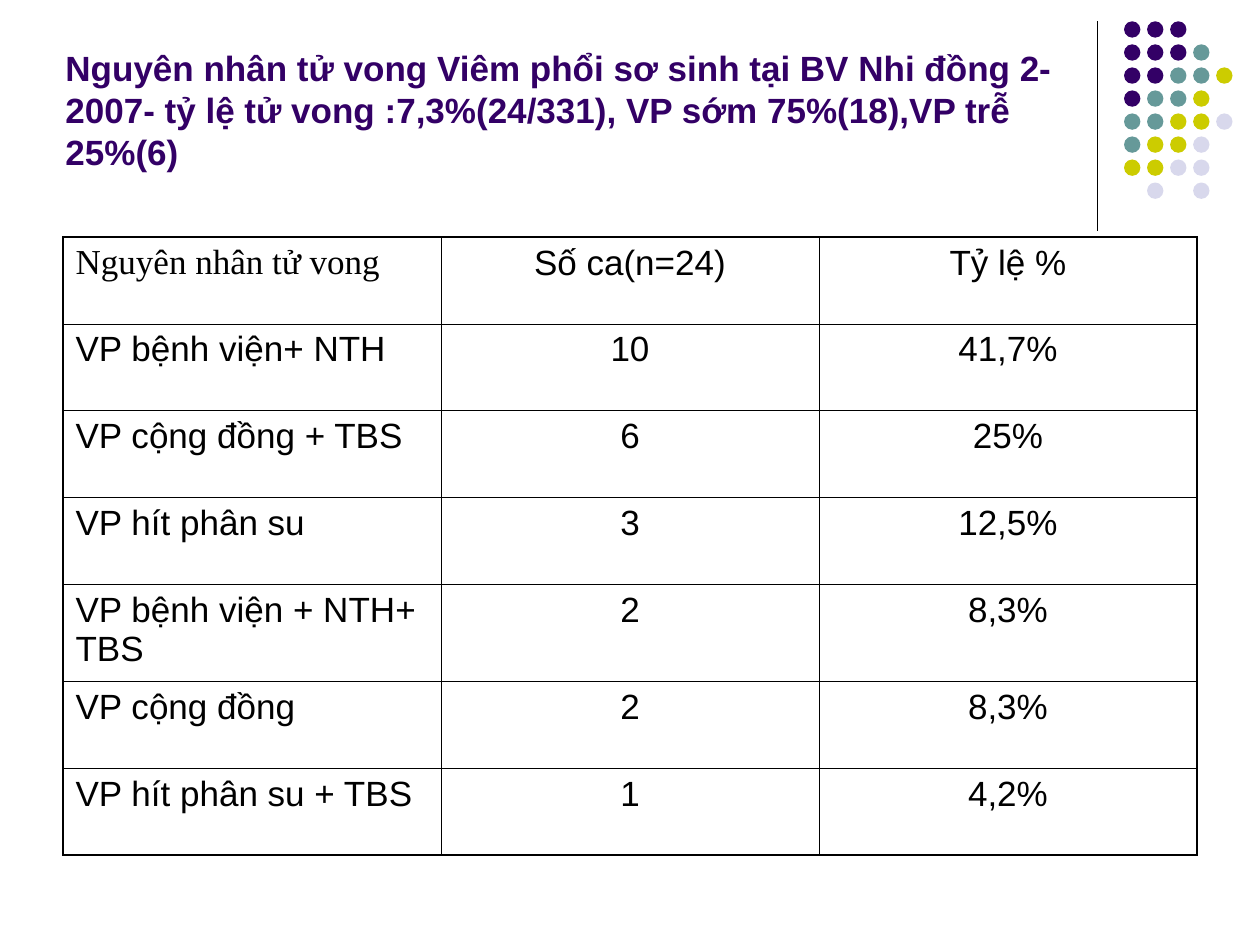
import pptx
import pptx.dml.color
import pptx.enum.shapes
import pptx.enum.text
import pptx.oxml.ns
import pptx.util
from lxml import etree

Cm = pptx.util.Cm
Pt = pptx.util.Pt
ALIGN = pptx.enum.text.PP_ALIGN
SHAPES = pptx.enum.shapes
COLORS = {
    "black": "000000",
    "purple": "330066",
    "teal": "669999",
    "olive": "CCCC00",
    "lavender": "D8D8EC",
}


def write(frame, text, font="Arial", size=20, color="black", bold=False, align=ALIGN.LEFT):
    frame.word_wrap = True
    frame.margin_left = frame.margin_right = Cm(0.25)
    frame.margin_top = frame.margin_bottom = Cm(0.13)
    para = frame.paragraphs[0]
    para.alignment = align
    span = para.add_run()
    span.text = text
    span.font.name = font
    span.font.size = Pt(size)
    span.font.bold = bold
    span.font.color.rgb = pptx.dml.color.RGBColor.from_string(COLORS[color])


def add_border(cell, side, width):
    props = cell._tc.get_or_add_tcPr()
    line = etree.SubElement(props, pptx.oxml.ns.qn(f"a:ln{side}"), w=str(Pt(width)))
    fill = etree.SubElement(line, pptx.oxml.ns.qn("a:solidFill"))
    etree.SubElement(fill, pptx.oxml.ns.qn("a:srgbClr"), val=COLORS["black"])


deck = pptx.Presentation()
deck.slide_width = Cm(25.4)
deck.slide_height = Cm(19.05)
page = deck.slides.add_slide(deck.slide_layouts[6])

# Vertical rule beside the title
rule = page.shapes.add_connector(
    SHAPES.MSO_CONNECTOR.STRAIGHT, Cm(22.12), Cm(0.43), Cm(22.12), Cm(4.65))
rule.line.width = Pt(0.75)
rule.line.color.rgb = pptx.dml.color.RGBColor.from_string(COLORS["black"])
etree.SubElement(rule._element.spPr, pptx.oxml.ns.qn("a:effectLst"))

# Dot pattern: one letter per dot, a space where there is none
dot_colors = {"P": "purple", "T": "teal", "O": "olive", "L": "lavender"}
dot_rows = ["PPP", "PPPT", "PPTTO", "PTTO", "TTOOL", "TOOL", "OOLL", " L L"]
dot_step = 3.25 / 7
dots = page.shapes.add_group_shape()
for row, letters in enumerate(dot_rows):
    for column, letter in enumerate(letters):
        if letter == " ":
            continue
        dot = dots.shapes.add_shape(
            SHAPES.MSO_SHAPE.OVAL, Cm(22.66 + column * dot_step),
            Cm(0.43 + row * dot_step), Cm(0.33), Cm(0.33))
        dot.shadow.inherit = False
        dot.fill.solid()
        dot.fill.fore_color.rgb = pptx.dml.color.RGBColor.from_string(
            COLORS[dot_colors[letter]])
        dot.line.fill.background()

# Title
title = page.shapes.add_textbox(Cm(1.07), Cm(0), Cm(21.39), Cm(3.61))
title.text_frame.vertical_anchor = pptx.enum.text.MSO_ANCHOR.BOTTOM
write(title.text_frame,
      "Nguyên nhân tử vong Viêm phổi sơ sinh tại BV Nhi đồng 2-2007- "
      "tỷ lệ tử vong :7,3%(24/331), VP sớm 75%(18),VP trễ 25%(6)",
      color="purple", bold=True)

# Table of causes of death
causes = [
    ("Nguyên nhân tử vong", "Số ca(n=24)", "Tỷ lệ %"),
    ("VP bệnh viện+ NTH", "10", "41,7%"),
    ("VP cộng đồng + TBS", "6", "25%"),
    ("VP hít phân su", "3", "12,5%"),
    ("VP bệnh viện + NTH+ TBS", "2", "8,3%"),
    ("VP cộng đồng", "2", "8,3%"),
    ("VP hít phân su + TBS", "1", "4,2%"),
]
row_heights = [1.75, 1.75, 1.75, 1.75, 1.96, 1.75, 1.75]
last_row, last_column = len(causes) - 1, 2
inner, outer = 0.45, 1.08
table = page.shapes.add_table(
    len(causes), 3, Cm(1.27), Cm(4.78), Cm(22.86), Cm(sum(row_heights))).table
table.first_row = table.horz_banding = False
for column in table.columns:
    column.width = Cm(7.62)
for row, values in enumerate(causes):
    table.rows[row].height = Cm(row_heights[row])
    for column, value in enumerate(values):
        cell = table.cell(row, column)
        write(cell.text_frame, value,
              font="Times New Roman" if row == column == 0 else "Arial",
              align=ALIGN.CENTER if column else ALIGN.LEFT)
        edges = {"L": column == 0, "R": column == last_column,
                 "T": row == 0, "B": row == last_row}
        for side, on_edge in edges.items():
            add_border(cell, side, outer if on_edge else inner)
        cell.fill.background()

deck.save("out.pptx")
